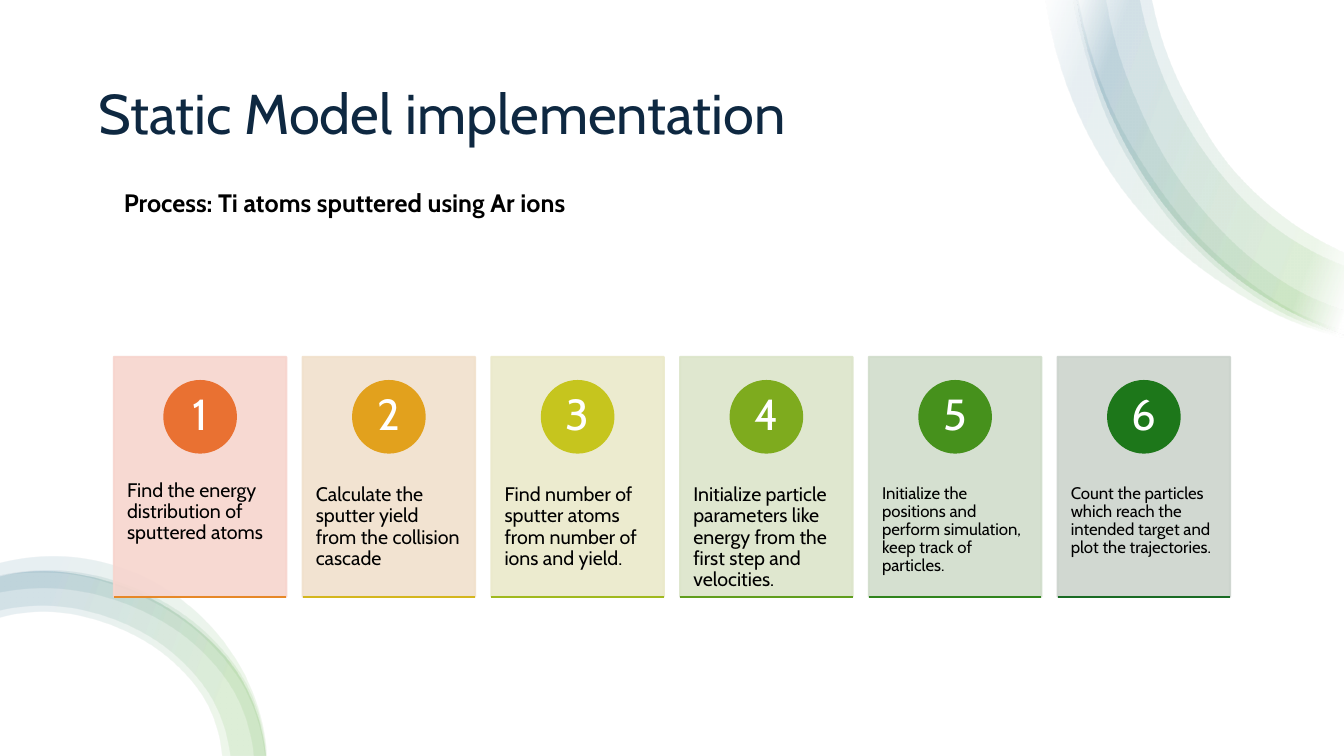
from lxml.etree import SubElement
from pptx import Presentation
from pptx.dml.color import RGBColor
from pptx.enum.shapes import MSO_CONNECTOR, MSO_SHAPE
from pptx.enum.text import MSO_ANCHOR, PP_ALIGN
from pptx.oxml.ns import qn
from pptx.util import Inches, Pt

FONT = "Cabin"
WHITE = RGBColor(0xFF, 0xFF, 0xFF)
BLACK = RGBColor(0x00, 0x00, 0x00)
NAVY = RGBColor(0x0E, 0x28, 0x41)
GREEN = RGBColor(0x4E, 0xA7, 0x2E)
TEAL = RGBColor(0x15, 0x60, 0x82)
FADED_STOPS = [(2, WHITE), (16, GREEN), (85, TEAL), (100, WHITE)]
SOLID_STOPS = FADED_STOPS[1:3]

STEPS = [
    ("Find the energy distribution of sputtered atoms", 14,
     RGBColor(0xF7, 0xD5, 0xCE), RGBColor(0xE9, 0x71, 0x32), RGBColor(0xE6, 0x88, 0x28)),
    ("Calculate the sputter yield from the collision cascade", 14,
     RGBColor(0xF1, 0xE1, 0xCC), RGBColor(0xE2, 0xA1, 0x1D), RGBColor(0xD4, 0xB6, 0x1E)),
    ("Find number of sputter atoms from number of ions and yield.", 14,
     RGBColor(0xEB, 0xE9, 0xCA), RGBColor(0xC6, 0xC5, 0x1E), RGBColor(0xA0, 0xB9, 0x1E)),
    ("Initialize particle parameters like energy from the first step and velocities.", 14,
     RGBColor(0xDC, 0xE5, 0xCA), RGBColor(0x7E, 0xAB, 0x1E), RGBColor(0x60, 0x9E, 0x1D)),
    ("Initialize the positions and perform simulation, keep track of particles.", 12,
     RGBColor(0xD1, 0xDD, 0xCB), RGBColor(0x46, 0x91, 0x1C), RGBColor(0x2F, 0x84, 0x1C)),
    ("Count the particles which reach the intended target and plot the trajectories.", 12,
     RGBColor(0xCC, 0xD4, 0xCD), RGBColor(0x1D, 0x77, 0x1A), RGBColor(0x19, 0x6B, 0x24)),
]
CARD_LEFT, CARD_TOP, CARD_W, CARD_H = 1.13, 3.54, 1.71, 2.38
CARD_PITCH = (10.49 - CARD_LEFT) / (len(STEPS) - 1)
BADGE, NUMBER = 0.71, 0.51

TOP_EDGE = [(13.33, 3.32), (12.24, 2.74), (11.52, 2), (10.99, 1.07), (10.67, -0.09)]
LOW_EDGE = [(2.63, 7.5), (2.36, 6.69), (1.85, 6.16), (1.17, 5.8), (0.4, 5.67), (0, 5.72)]
TOP_RIBBONS = [
    ([(13.33, 3.35), (12.82, 3.19), (12.21, 2.87), (11.65, 2.45), (11.16, 1.92),
      (10.78, 1.31), (10.5, 0.6), (10.36, -0.09)],
     [(10.68, -0.09), (10.82, 0.52), (11.06, 1.15), (11.4, 1.73), (11.81, 2.27),
      (12.3, 2.73), (12.86, 3.1), (13.33, 3.28)]),
    (TOP_EDGE,
     [(11.41, -0.09), (11.58, 0.55), (11.85, 1.12), (12.19, 1.64), (12.61, 2.06), (13.33, 2.51)]),
    ([(13.33, 3.33), (12.79, 3.14), (12.23, 2.79), (11.73, 2.33), (11.32, 1.79),
      (10.99, 1.19), (10.76, 0.5), (10.63, -0.09)],
     [(10.96, -0.09), (11.07, 0.44), (11.29, 1.04), (11.58, 1.61), (11.95, 2.11),
      (12.39, 2.55), (12.9, 2.9), (13.33, 3.08)]),
    (TOP_EDGE,
     [(11.29, -0.09), (11.47, 0.59), (11.74, 1.19), (12.1, 1.72), (12.53, 2.17), (13.33, 2.64)]),
]
LOW_RIBBONS = [
    (LOW_EDGE, [(0, 6.13), (0.4, 6.07), (1.07, 6.19), (1.66, 6.52), (2.06, 7), (2.2, 7.5)]),
    (LOW_EDGE, [(0, 6.06), (0.4, 6.01), (1.09, 6.13), (1.7, 6.47), (2.12, 6.97), (2.28, 7.5)]),
    ([(2.63, 7.5), (2.47, 6.85), (2.03, 6.27), (1.42, 5.87), (0.69, 5.67), (0, 5.71)],
     [(0, 5.88), (0.67, 5.85), (1.34, 6.03), (1.92, 6.39), (2.34, 6.91), (2.51, 7.5)]),
    ([(2.64, 7.5), (2.5, 6.87), (2.1, 6.23), (1.48, 5.75), (0.71, 5.53), (0, 5.59)],
     [(0, 5.72), (0.69, 5.7), (1.39, 5.91), (2, 6.31), (2.45, 6.89), (2.62, 7.5)]),
]


def curve_handles(edge):
    knots = [complex(x, y) for x, y in edge]
    gaps = [abs(b - a) for a, b in zip(knots, knots[1:])]
    slopes = [(b - a) / h for a, b, h in zip(knots, knots[1:], gaps)]
    inner = [(d * k + e * h) / (h + k)
             for d, e, h, k in zip(slopes, slopes[1:], gaps, gaps[1:])]
    tangents = [2 * slopes[0] - inner[0], *inner, 2 * slopes[-1] - inner[-1]]
    return [(a + u * h / 3, b - v * h / 3)
            for a, b, u, v, h in zip(knots, knots[1:], tangents, tangents[1:], gaps)]


class Deck:
    def __init__(self):
        self.prs = Presentation()
        self.prs.slide_width = Inches(13.33)
        self.prs.slide_height = Inches(7.5)
        self.s = self.prs.slides.add_slide(self.prs.slide_layouts[6])

    def shape(self, kind, x, y, w, h, color, opacity=100, outline=True):
        sp = self.s.shapes.add_shape(kind, Inches(x), Inches(y), Inches(w), Inches(h))
        sp.shadow.inherit = False
        sp.fill.solid()
        sp.fill.fore_color.rgb = color
        if outline:
            sp.line.color.rgb = color
            sp.line.width = Pt(1.5)
        else:
            sp.line.fill.background()
        if opacity < 100:
            for clr in sp._element.spPr.iter(qn("a:srgbClr")):
                SubElement(clr, qn("a:alpha"), val=str(opacity * 1000))

    def text(self, text, x, y, w, h, size, color=BLACK, bold=False, wrap=True, spacing=0.9,
             after=0, anchor=MSO_ANCHOR.TOP, align=PP_ALIGN.LEFT, inset=(0.1, 0.05)):
        tf = self.s.shapes.add_textbox(Inches(x), Inches(y), Inches(w), Inches(h)).text_frame
        tf.word_wrap = wrap
        tf.vertical_anchor = anchor
        tf.margin_left = tf.margin_right = Inches(inset[0])
        tf.margin_top = tf.margin_bottom = Inches(inset[1])
        p = tf.paragraphs[0]
        p.text = text
        p.alignment = align
        p.line_spacing = spacing
        p.space_after = Pt(after)
        p.font.name = FONT
        p.font.size = Pt(size)
        p.font.bold = bold
        p.font.color.rgb = color

    def rule(self, x, y, w, color):
        line = self.s.shapes.add_connector(
            MSO_CONNECTOR.STRAIGHT, Inches(x), Inches(y), Inches(x + w), Inches(y))
        line.line.color.rgb = color
        line.line.width = Pt(1.5)
        SubElement(line._element.spPr, qn("a:effectLst"))

    def ribbon(self, outer, inner, stops):
        points = [(Inches(x), Inches(y)) for x, y in outer + inner]
        builder = self.s.shapes.build_freeform(*points[0])
        builder.add_line_segments(points[1:], close=True)
        sp = builder.convert_to_shape()
        sp.shadow.inherit = False
        sp.line.fill.background()
        self.bend(sp, [*curve_handles(outer), None, *curve_handles(inner)])
        sp.fill.gradient()
        sp.fill.gradient_angle = 160
        stop_list = next(sp._element.spPr.iter(qn("a:gsLst")))
        stop_list.clear()
        for pos, color in stops:
            gs = SubElement(stop_list, qn("a:gs"), pos=str(pos * 1000))
            clr = SubElement(gs, qn("a:srgbClr"), val=str(color))
            SubElement(clr, qn("a:alpha"), val="10000")

    def bend(self, sp, handles):
        segments = list(sp._element.spPr.iter(qn("a:lnTo")))
        for segment, pair in zip(segments, handles):
            if pair:
                segment.tag = qn("a:cubicBezTo")
                for i, c in enumerate(pair):
                    pt = SubElement(segment, qn("a:pt"), x=str(Inches(c.real) - sp.left),
                                    y=str(Inches(c.imag) - sp.top))
                    segment.insert(i, pt)

    def step(self, number, x, text, size, card, badge, edge):
        self.shape(MSO_SHAPE.RECTANGLE, x, CARD_TOP, CARD_W, CARD_H, card, opacity=90)
        self.text(text, x, 4.45, CARD_W, 1.41, size, after=5, inset=(0.13, 0.36))
        self.shape(MSO_SHAPE.OVAL, x + (CARD_W - BADGE) / 2, 3.78, BADGE, BADGE, badge)
        self.text(str(number), x + (CARD_W - NUMBER) / 2, 3.88, NUMBER, NUMBER, 31, WHITE,
                  anchor=MSO_ANCHOR.MIDDLE, align=PP_ALIGN.CENTER, inset=(0.06, 0.01))
        self.rule(x, CARD_TOP + CARD_H, CARD_W, edge)


def main():
    deck = Deck()
    deck.shape(MSO_SHAPE.RECTANGLE, 0, 0, 13.33, 7.5, WHITE, outline=False)
    deck.text("Static Model implementation", 0.88, 0.5, 11.57, 1.3, 40, NAVY,
              anchor=MSO_ANCHOR.MIDDLE)
    for ribbons, stops in ((TOP_RIBBONS, FADED_STOPS), (LOW_RIBBONS, SOLID_STOPS)):
        for outer, inner in ribbons:
            deck.ribbon(outer, inner, stops)
    for i, step in enumerate(STEPS):
        deck.step(i + 1, CARD_LEFT + i * CARD_PITCH, *step)
    deck.text("Process: Ti atoms sputtered using Ar ions", 1.13, 1.81, 4.91, 0.4, 18,
              bold=True, wrap=False, spacing=1.0)
    deck.prs.save("out.pptx")


if __name__ == "__main__":
    main()
